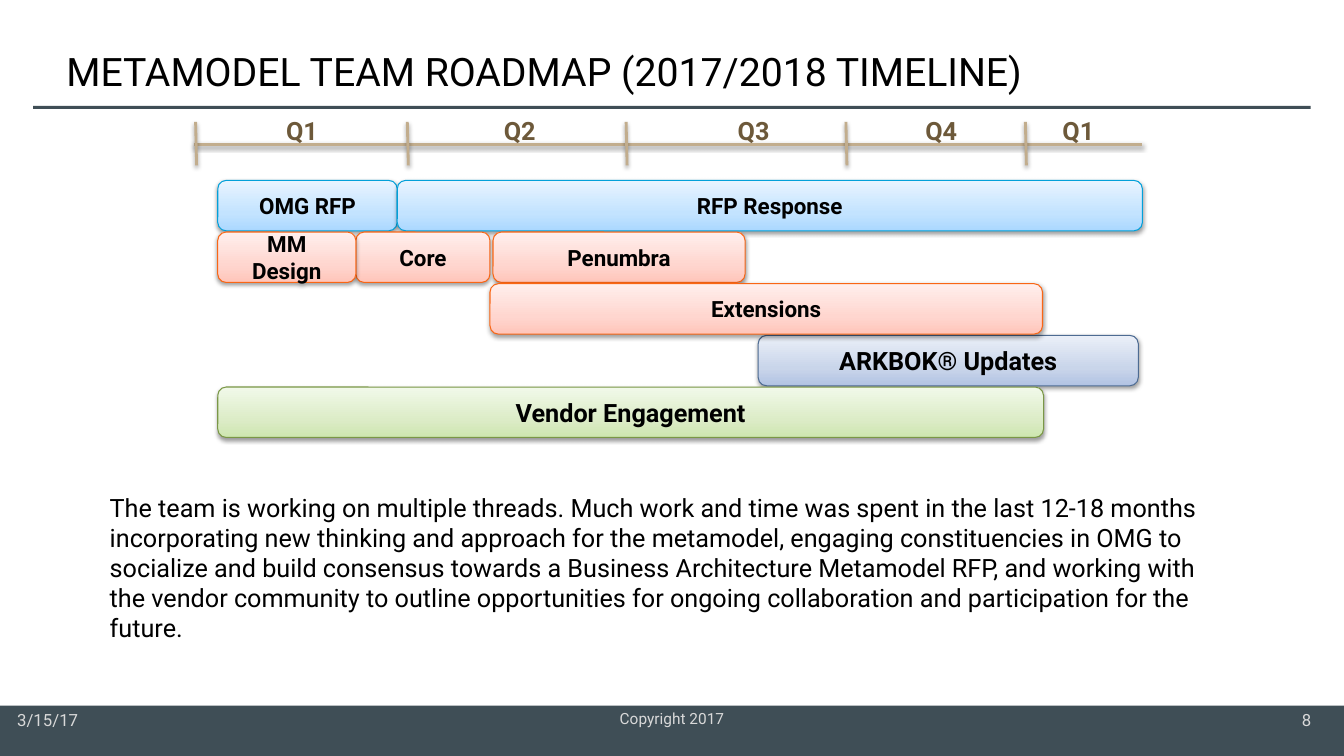
"""Build the metamodel team roadmap slide."""
import pptx
import pptx.dml.color
import pptx.enum.shapes
import pptx.enum.text
import pptx.oxml
import pptx.oxml.ns
import pptx.util

Inches = pptx.util.Inches
RGBColor = pptx.dml.color.RGBColor
MSO_SHAPE = pptx.enum.shapes.MSO_SHAPE
ALIGN = pptx.enum.text.PP_ALIGN
ANCHOR = pptx.enum.text.MSO_ANCHOR

FONT = "Roboto"
BLACK = RGBColor(0x00, 0x00, 0x00)
SLATE = RGBColor(0x3F, 0x4E, 0x56)
FOOTER_GREY = RGBColor(0xD9, 0xD9, 0xD9)
AXIS_TAN = RGBColor(0xC2, 0xAD, 0x8D)
QUARTER_BROWN = RGBColor(0x6D, 0x59, 0x3A)

BLUE = (RGBColor(0x03, 0xA0, 0xD9),
        (RGBColor(0xAB, 0xD8, 0xFF), RGBColor(0xC3, 0xE3, 0xFF), RGBColor(0xE8, 0xF4, 0xFF)))
ORANGE = (RGBColor(0xF9, 0x66, 0x15),
          (RGBColor(0xFF, 0xC5, 0xBA), RGBColor(0xFF, 0xD6, 0xCF), RGBColor(0xFF, 0xEF, 0xED)))
INDIGO = (RGBColor(0x4D, 0x6B, 0x92),
          (RGBColor(0xB2, 0xC3, 0xE3), RGBColor(0xC9, 0xD5, 0xEA), RGBColor(0xEA, 0xEF, 0xF8)))
GREEN = (RGBColor(0x7A, 0x97, 0x46),
         (RGBColor(0xCD, 0xE6, 0xAF), RGBColor(0xDC, 0xEC, 0xC7), RGBColor(0xF1, 0xF9, 0xE9)))

TICKS = (0.02, 2.12, 4.29, 6.47, 8.25)
QUARTERS = (("Q1", 0.59), ("Q2", 2.75), ("Q3", 5.07), ("Q4", 6.93), ("Q1", 8.29))
BAR_HEIGHT = 0.5
ROW_PITCH = 0.5125
THREADS = (
    ("OMG RFP", 0, 0, 1.78, BLUE, 16),
    ("RFP Response", 0, 1.78, 7.39, BLUE, 16),
    ("Core", 1, 1.37, 1.33, ORANGE, 16),
    ("ARKBOK® Updates", 3, 5.36, 3.77, INDIGO, 18),
    ("Vendor Engagement", 4, 0, 8.19, GREEN, 18),
    ("MM Design", 1, 0, 1.37, ORANGE, 16),
    ("Penumbra", 1, 2.73, 2.5, ORANGE, 16),
    ("Extensions", 2, 2.7, 5.48, ORANGE, 16),
)
TITLE = "METAMODEL TEAM ROADMAP (2017/2018 TIMELINE)"
SUMMARY = (
    "The team is working on multiple threads. Much work and time was spent in the last "
    "12-18 months incorporating new thinking and approach for the metamodel, engaging "
    "constituencies in OMG to socialize and build consensus towards a Business Architecture "
    "Metamodel RFP, and working with the vendor community to outline opportunities for "
    "ongoing collaboration and participation for the future."
)


def write(frame, text, size, color, align=ALIGN.LEFT, bold=False):
    """Put one styled run into a text frame."""
    paragraph = frame.paragraphs[0]
    paragraph.alignment = align
    run = paragraph.add_run()
    run.text = text
    run.font.name = FONT
    run.font.size = pptx.util.Pt(size)
    run.font.bold = bold
    run.font.color.rgb = color


def add_label(slide, box, text, size, color, align=ALIGN.LEFT, bold=False,
              anchor=ANCHOR.TOP, tight=False):
    """Add a text box; a tight one has no margins and does not wrap."""
    frame = slide.shapes.add_textbox(*map(Inches, box)).text_frame
    frame.word_wrap = not tight
    frame.vertical_anchor = anchor
    if tight:
        frame.margin_left = frame.margin_right = frame.margin_top = frame.margin_bottom = 0
    write(frame, text, size, color, align, bold)


def add_band(slide, box):
    """Add a plain slate rectangle."""
    band = slide.shapes.add_shape(MSO_SHAPE.RECTANGLE, *map(Inches, box))
    band.shadow.inherit = False
    band.fill.solid()
    band.fill.fore_color.rgb = SLATE
    band.line.fill.background()


def cast_shadow(properties):
    """Append a soft downward shadow to shape properties."""
    properties.append(pptx.oxml.parse_xml(
        f'<a:effectLst {pptx.oxml.ns.nsdecls("a")}>'
        '<a:outerShdw blurRad="40000" dist="20000" dir="5400000" rotWithShape="0">'
        '<a:srgbClr val="000000"><a:alpha val="38000"/></a:srgbClr>'
        '</a:outerShdw></a:effectLst>'))


def add_bar(slide, box, text, scheme, size):
    """Add one rounded gradient bar with its name."""
    outline, shades = scheme
    bar = slide.shapes.add_shape(MSO_SHAPE.ROUNDED_RECTANGLE, *map(Inches, box))
    bar.line.color.rgb = outline
    bar.line.width = pptx.util.Pt(0.75)
    stops = "".join(f'<a:gs pos="{place}"><a:srgbClr val="{shade}"/></a:gs>'
                    for place, shade in zip((0, 35000, 100000), shades))
    properties = bar.element.spPr
    properties.insert(2, pptx.oxml.parse_xml(
        f'<a:gradFill {pptx.oxml.ns.nsdecls("a")} rotWithShape="1"><a:gsLst>{stops}</a:gsLst>'
        '<a:lin ang="16200000" scaled="0"/></a:gradFill>'))
    cast_shadow(properties)
    bar.text_frame.vertical_anchor = ANCHOR.MIDDLE
    write(bar.text_frame, text, size, BLACK, ALIGN.CENTER, True)


def add_axis_line(slide, start, end):
    """Add one shadowed line of the time axis."""
    axis_line = slide.shapes.add_connector(
        pptx.enum.shapes.MSO_CONNECTOR.STRAIGHT, *map(Inches, start + end))
    axis_line.line.color.rgb = AXIS_TAN
    axis_line.line.width = pptx.util.Pt(2)
    cast_shadow(axis_line.element.spPr)


def add_header(slide, left, top, width):
    """Place the title and the rule beneath it."""
    add_band(slide, (left, top + 0.65, width, 0.03))
    add_label(slide, (left + 0.23, top, 10, 0.6), TITLE, 28, BLACK, anchor=ANCHOR.MIDDLE)


def add_timeline(slide, left, top, width):
    """Place the quarter axis with its ticks and names."""
    add_axis_line(slide, (left, top + 0.34), (left + width, top + 0.34))
    for tick in TICKS:
        add_axis_line(slide, (left + tick, top + 0.12), (left + tick + 0.01, top + 0.55))
    for quarter, offset in QUARTERS:
        add_label(slide, (left + offset, top, 0.97, 0.4), quarter, 18, QUARTER_BROWN,
                  ALIGN.CENTER, True)


def add_threads(slide, left, top):
    """Place the bars of all work threads on their rows."""
    for name, row, offset, width, scheme, size in THREADS:
        add_bar(slide, (left + offset, top + row * ROW_PITCH, width, BAR_HEIGHT),
                name, scheme, size)


def add_footer(slide, left, top, width, height):
    """Place the footer band with date, copyright and page number."""
    add_band(slide, (left, top, width, height))
    add_label(slide, (left + 0.17, top + 0.04, 0.82, 0.2), "3/15/17", 12, FOOTER_GREY,
              anchor=ANCHOR.MIDDLE, tight=True)
    add_label(slide, (left + width - 0.42, top + 0.04, 0.1, 0.2), "8", 12, FOOTER_GREY,
              ALIGN.CENTER, anchor=ANCHOR.MIDDLE, tight=True)
    add_label(slide, (left + 3.22, top - 0.01, 6.89, 0.3), "Copyright 2017", 11, FOOTER_GREY,
              ALIGN.CENTER)


def main():
    """Build and save the deck."""
    deck = pptx.Presentation()
    deck.slide_width, deck.slide_height = Inches(13.33), Inches(7.5)
    slide = deck.slides.add_slide(deck.slide_layouts[6])
    add_footer(slide, 0, 7, 13.33, 0.5)
    add_header(slide, 0.33, 0.4, 12.67)
    add_label(slide, (0.99, 4.83, 11.2, 1.71), SUMMARY, 18, BLACK)
    add_threads(slide, 2.16, 1.79)
    add_timeline(slide, 1.92, 1.09, 9.41)
    deck.save("out.pptx")


if __name__ == "__main__":
    main()
